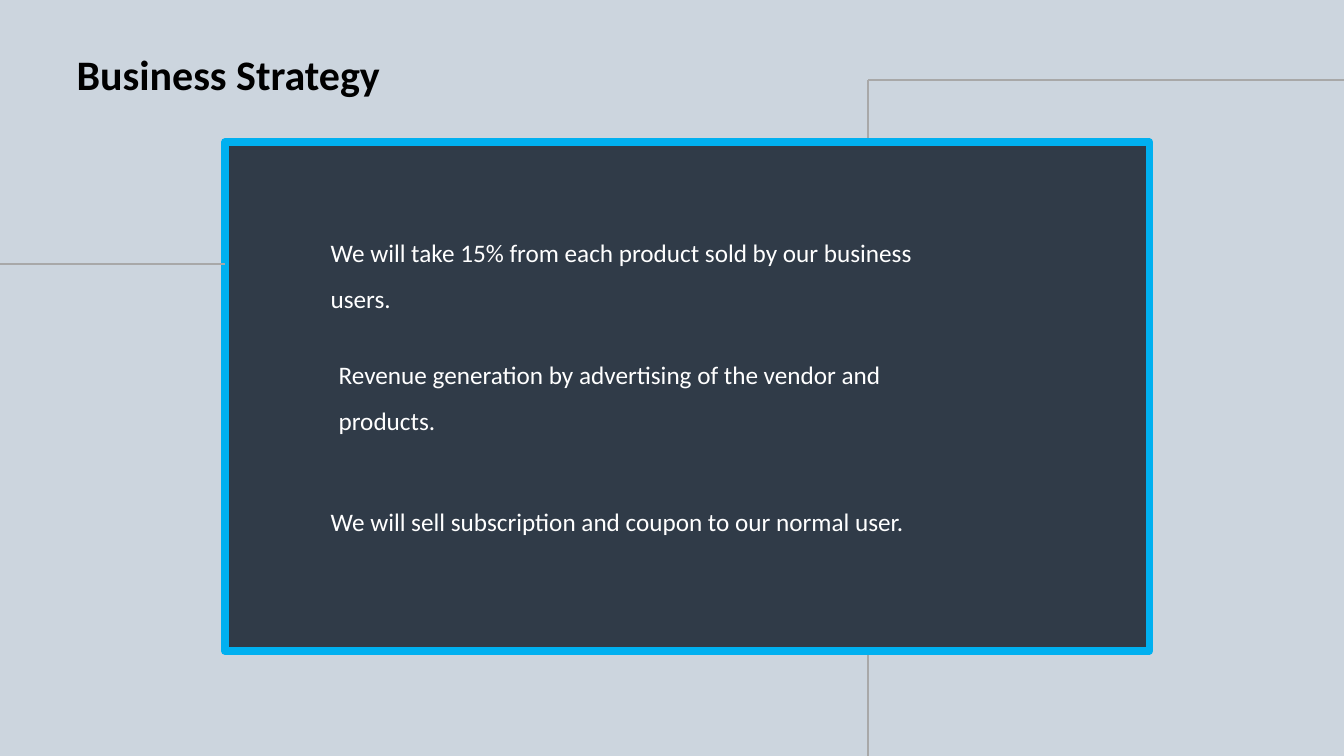
"""Build the Business Strategy slide: a framed panel with three statements."""
from dataclasses import dataclass

from lxml import etree
from pptx import Presentation
from pptx.dml.color import RGBColor
from pptx.enum.shapes import MSO_CONNECTOR, MSO_SHAPE
from pptx.enum.text import MSO_ANCHOR, MSO_AUTO_SIZE, PP_ALIGN
from pptx.oxml.ns import qn
from pptx.util import Inches, Pt

STRAIGHT = MSO_CONNECTOR.STRAIGHT
RECTANGLE = MSO_SHAPE.RECTANGLE
TOP = MSO_ANCHOR.TOP
LEFT = PP_ALIGN.LEFT
NO_FIT = MSO_AUTO_SIZE.NONE
GROW = MSO_AUTO_SIZE.SHAPE_TO_FIT_TEXT


@dataclass(frozen=True)
class Theme:
    background: RGBColor = RGBColor.from_string("CCD5DE")
    panel: RGBColor = RGBColor.from_string("303B48")
    frame: RGBColor = RGBColor.from_string("00B0F0")
    rule: RGBColor = RGBColor.from_string("A8A8A8")
    heading: RGBColor = RGBColor.from_string("000000")
    text: RGBColor = RGBColor.from_string("FFFFFF")
    font: str = "Calibri"
    heading_size: Pt = Pt(30)
    text_size: Pt = Pt(18)


theme = Theme()
deck = Presentation()
deck.slide_width, deck.slide_height = Inches(13.33), Inches(7.5)


def share(*percents):
    """Turn alternating horizontal and vertical percentages into slide lengths."""
    sizes = (deck.slide_width, deck.slide_height) * 2
    return [round(size * percent / 100) for size, percent in zip(sizes, percents)]


def set_text(box, words, size, color, spacing, fit):
    """Write one left-aligned paragraph into a box."""
    frame = box.text_frame
    frame.text = words
    frame.word_wrap = True
    frame.auto_size = fit
    frame.vertical_anchor = TOP
    para = frame.paragraphs[0]
    para.alignment = LEFT
    para.line_spacing = spacing
    para.font.name = theme.font
    para.font.size = size
    para.font.color.rgb = color
    return para


page = deck.slides.add_slide(deck.slide_layouts[5])
page.background.fill.solid()
page.background.fill.fore_color.rgb = theme.background

title = page.shapes.title
title.left, title.top, title.width, title.height = share(4.95, 5.87, 69.92, 10.27)
heading = set_text(title, "Business Strategy", theme.heading_size, theme.heading, 0.9, NO_FIT)
heading.font.bold = True
title.text_frame.margin_left = title.text_frame.margin_right = Inches(0.1)
title.text_frame.margin_top = title.text_frame.margin_bottom = Inches(0.1)

panel_left, panel_top = 16.73, 18.8
rule_x, rule_y = 64.59, 10.53
panel = page.shapes.add_shape(RECTANGLE, *share(panel_left, panel_top, 68.79, 67.33))
panel.shadow.inherit = False
panel.fill.solid()
panel.fill.fore_color.rgb = theme.panel
panel.line.color.rgb = theme.frame
panel.line.width = Pt(5.25)

rules = [
    ((rule_x, rule_y, rule_x, 100), 1.25),
    ((0, 34.93, panel_left, 34.93), 1.5),
    ((rule_x, rule_y, 100, rule_y), 1.5),
]
for ends, weight in rules:
    rule = page.shapes.add_connector(STRAIGHT, *share(*ends))
    rule.line.color.rgb = theme.rule
    rule.line.width = Pt(weight)
    etree.SubElement(rule._element.spPr, qn("a:effectLst"))
    if ends[3] == 100:
        rule._element.addnext(panel._element)

statements = [
    ("Revenue generation by advertising of the vendor and products.", (24.46, 44.93, 42.01, 12.8)),
    ("We will take 15% from each product sold by our business users.", (23.86, 28.8, 45.01, 12.8)),
    ("We will sell subscription and coupon to our normal user.", (23.86, 64.27, 60.24, 6.8)),
]
for words, place in statements:
    box = page.shapes.add_textbox(*share(*place))
    set_text(box, words, theme.text_size, theme.text, 1.5, GROW)

deck.save("out.pptx")
